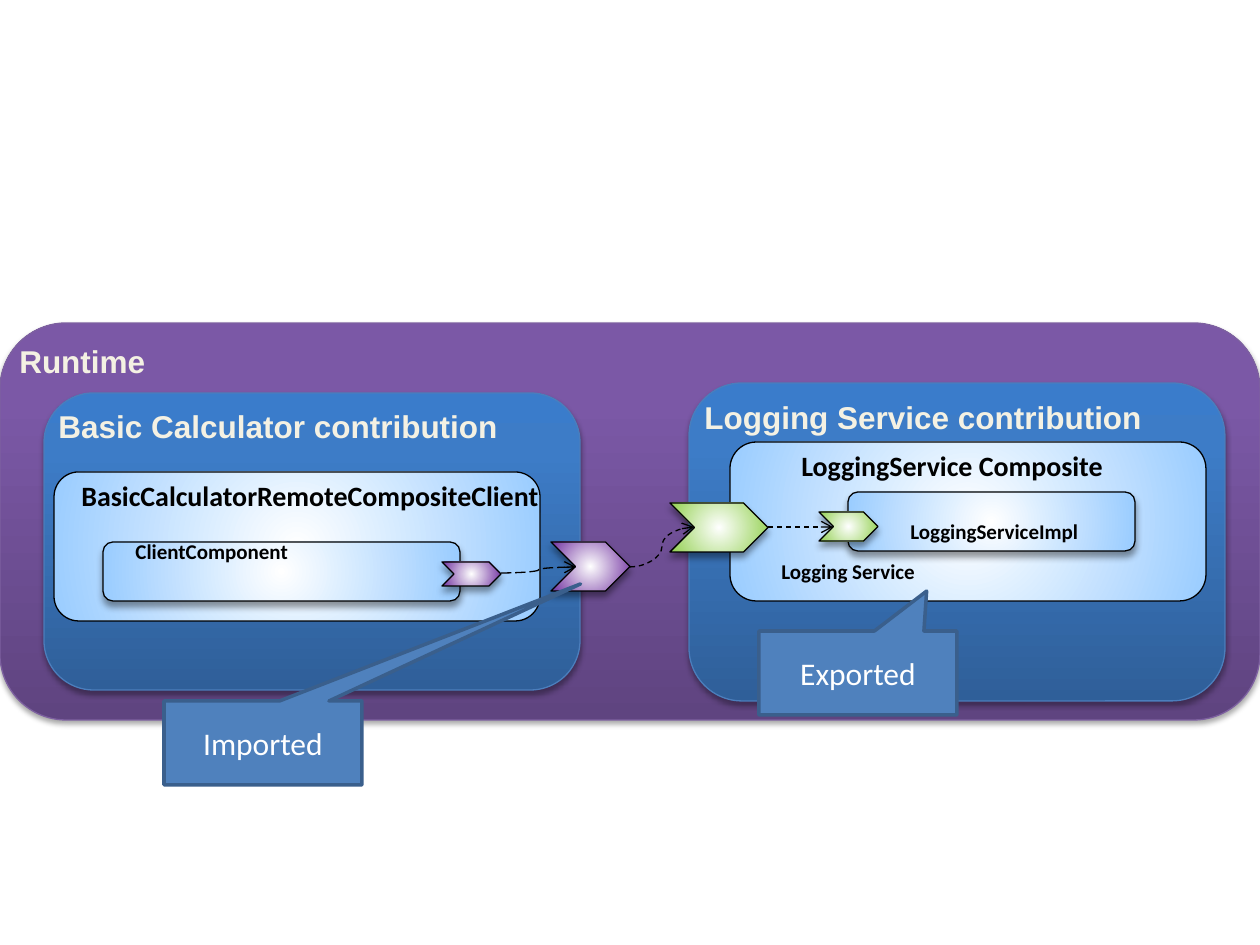
from dataclasses import dataclass
from typing import Optional

from pptx import Presentation
from pptx.dml.color import RGBColor
from pptx.enum.dml import MSO_LINE
from pptx.enum.shapes import MSO_CONNECTOR, MSO_SHAPE
from pptx.enum.text import MSO_ANCHOR, MSO_AUTO_SIZE, PP_ALIGN
from pptx.oxml import parse_xml
from pptx.oxml.ns import nsdecls, qn
from pptx.util import Pt

PX = 914400 / 126
COLORS = {
    "white": "FFFFFF", "black": "000000", "cream": "F4F1E3",
    "plum low": "5F4480", "plum mid": "7B58A6", "plum top": "7C57A8", "plum edge": "7D60A0",
    "blue low": "2F5F99", "blue mid": "3D7CC7", "blue top": "3A7CCB", "blue edge": "4B7EBC",
    "sky": "99CCFF", "lime": "92D050", "grape": "7030A0",
    "note": "4F81BD", "note edge": "3A5F8C",
}


@dataclass(frozen=True)
class Shade:
    alpha: int
    blur: float
    dist: float


@dataclass(frozen=True)
class Look:
    stops: tuple
    edge: str = "black"
    shade: Optional[Shade] = None
    round: bool = True


@dataclass(frozen=True)
class Block:
    x: int
    y: int
    w: int
    h: int
    look: Look
    text: str = ""
    kind: int = MSO_SHAPE.ROUNDED_RECTANGLE


@dataclass(frozen=True)
class Label:
    x: int
    y: int
    w: int
    h: int
    text: str
    size: int = 12
    wrap: bool = False


@dataclass(frozen=True)
class Wire:
    x1: int
    y1: int
    x2: int
    y2: int
    dash: int = MSO_LINE.DASH


@dataclass(frozen=True)
class Note:
    x: int
    y: int
    text: str
    tip: tuple
    w: int = 198
    h: int = 84


SOFT = Shade(35, 3.1, 1.8)
DEEP = Shade(40, 4, 3)
PLUM = Look(((0, "plum low"), (80, "plum mid"), (100, "plum top")), "plum edge", SOFT, False)
BLUE = Look(((0, "blue low"), (80, "blue mid"), (100, "blue top")), "blue edge", SOFT, False)
FLAT = Look(((0, "white"), (100, "sky")))
SKY = Look(FLAT.stops, shade=DEEP)
LIME = Look(((0, "white"), (100, "lime")), shade=DEEP)
GRAPE = Look(((0, "white"), (100, "grape")), shade=DEEP)
CHEVRON = MSO_SHAPE.CHEVRON

PARTS = [
    Block(0, 323, 1260, 397, PLUM, "Runtime"),
    Block(689, 383, 536, 318, BLUE, "Logging Service contribution"),
    Block(730, 442, 476, 159, FLAT),
    Block(848, 492, 287, 59, SKY),
    Label(898, 512, 248, 38, "LoggingServiceImpl", wrap=True),
    Block(819, 512, 59, 29, LIME, kind=CHEVRON),
    Label(789, 442, 331, 47, "LoggingService Composite", 16),
    Block(670, 503, 98, 49, LIME, kind=CHEVRON),
    Wire(768, 527, 833, 527),
    Label(769, 552, 161, 38, "Logging Service"),
    Block(44, 393, 536, 297, BLUE, "Basic Calculator contribution"),
    Block(54, 472, 486, 149, FLAT),
    Block(103, 542, 357, 59, SKY),
    Label(123, 532, 336, 38, "ClientComponent", wrap=True),
    Label(69, 472, 488, 47, "BasicCalculatorRemoteCompositeClient", 16),
    Block(442, 562, 59, 24, GRAPE, kind=CHEVRON),
    Block(551, 542, 79, 49, GRAPE, kind=CHEVRON),
    Wire(501, 573, 576, 567, MSO_LINE.LONG_DASH),
    Wire(630, 567, 694, 527),
    Note(759, 631, "Exported", (0.347, -0.976)),
    Note(164, 701, "Imported", (1.604, -1.894)),
]


def emu(*vals: int) -> list:
    return [round(val * PX) for val in vals]


def hue(name: str) -> RGBColor:
    return RGBColor.from_string(COLORS[name])


def write(frame, text: str, *, size: int = 18, font: str = "Calibri", color: str = "black",
          bold: bool = True, align=PP_ALIGN.LEFT, anchor=MSO_ANCHOR.TOP,
          wrap: bool = True, inset: bool = True, before: int = 0) -> None:
    frame.word_wrap = wrap
    frame.vertical_anchor = anchor
    if not inset:
        frame.margin_left = frame.margin_right = frame.margin_top = frame.margin_bottom = 0
    para = frame.paragraphs[0]
    para.alignment = align
    para.space_before = Pt(before)
    run = para.add_run()
    run.text = text
    run.font.size, run.font.name, run.font.bold = Pt(size), font, bold
    run.font.color.rgb = hue(color)


def blend(shape, look: Look) -> None:
    stops = "".join(
        f'<a:gs pos="{pos * 1000}"><a:srgbClr val="{COLORS[name]}"/></a:gs>'
        for pos, name in look.stops)
    if look.round:
        way = ('<a:path path="circle"><a:fillToRect l="50000" t="50000" '
               'r="50000" b="50000"/></a:path>')
    else:
        way = '<a:lin ang="16200000" scaled="0"/>'
    shape._element.spPr.append(parse_xml(
        f'<a:gradFill {nsdecls("a")} rotWithShape="1"><a:gsLst>{stops}</a:gsLst>{way}</a:gradFill>'))


def cast(shape, shade: Optional[Shade]) -> None:
    inner = ""
    if shade:
        inner = (f'<a:outerShdw blurRad="{Pt(shade.blur)}" dist="{Pt(shade.dist)}" dir="5400000" '
                 f'rotWithShape="0"><a:srgbClr val="{COLORS["black"]}">'
                 f'<a:alpha val="{shade.alpha * 1000}"/></a:srgbClr></a:outerShdw>')
    shape._element.spPr.append(parse_xml(
        f'<a:effectLst {nsdecls("a")}>{inner}</a:effectLst>'))


def edge(shape, color: str, width: float = 0.75) -> None:
    shape.line.color.rgb = hue(color)
    shape.line.width = Pt(width)


def add_block(shapes, part: Block) -> None:
    shape = shapes.add_shape(part.kind, *emu(part.x, part.y, part.w, part.h))
    blend(shape, part.look)
    edge(shape, part.look.edge)
    cast(shape, part.look.shade)
    if part.text:
        write(shape.text_frame, part.text, font="Arial", color="cream", inset=False, before=2)


def add_label(shapes, part: Label) -> None:
    frame = shapes.add_textbox(*emu(part.x, part.y, part.w, part.h)).text_frame
    write(frame, part.text, size=part.size, wrap=part.wrap)
    frame.auto_size = MSO_AUTO_SIZE.SHAPE_TO_FIT_TEXT


def add_wire(shapes, part: Wire) -> None:
    wire = shapes.add_connector(MSO_CONNECTOR.CURVE, *emu(part.x1, part.y1, part.x2, part.y2))
    edge(wire, "black")
    wire.line.dash_style = part.dash
    wire._element.spPr.find(qn("a:ln")).append(
        parse_xml(f'<a:tailEnd {nsdecls("a")} type="arrow"/>'))
    cast(wire, None)


def add_note(shapes, part: Note) -> None:
    note = shapes.add_shape(MSO_SHAPE.RECTANGULAR_CALLOUT, *emu(part.x, part.y, part.w, part.h))
    note.adjustments[0], note.adjustments[1] = part.tip
    note.fill.solid()
    note.fill.fore_color.rgb = hue("note")
    edge(note, "note edge", 2)
    note.shadow.inherit = False
    write(note.text_frame, part.text, color="white", bold=False,
          align=PP_ALIGN.CENTER, anchor=MSO_ANCHOR.MIDDLE)


def main() -> None:
    deck = Presentation()
    deck.slide_width, deck.slide_height = emu(1260, 945)
    shapes = deck.slides.add_slide(deck.slide_layouts[6]).shapes
    draw = {Block: add_block, Label: add_label, Wire: add_wire, Note: add_note}
    for part in PARTS:
        draw[type(part)](shapes, part)
    deck.save("out.pptx")


if __name__ == "__main__":
    main()
